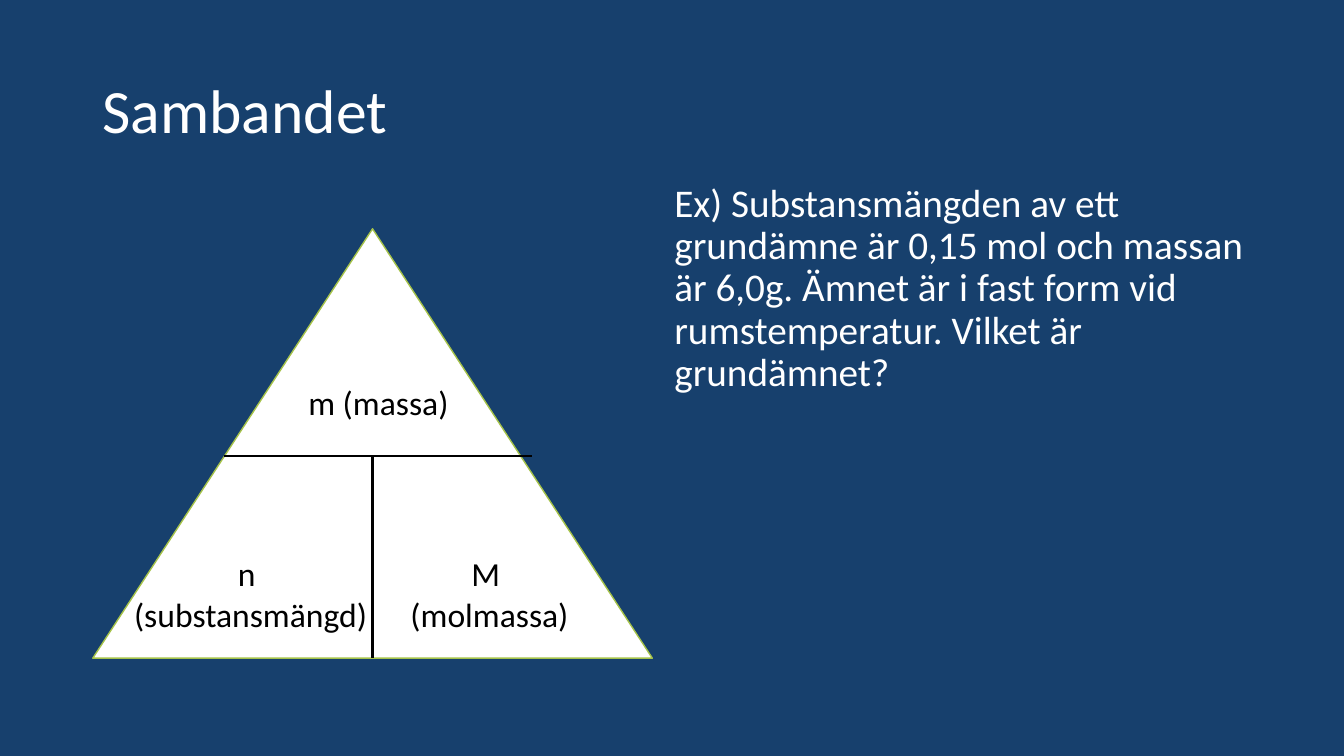
from lxml import etree
from pptx import Presentation
from pptx.dml.color import RGBColor
from pptx.enum.shapes import MSO_CONNECTOR, MSO_SHAPE
from pptx.enum.text import MSO_ANCHOR, PP_ALIGN
from pptx.oxml.ns import qn
from pptx.util import Inches, Pt

STRAIGHT = MSO_CONNECTOR.STRAIGHT
TRIANGLE = MSO_SHAPE.ISOSCELES_TRIANGLE
TOP, MIDDLE = MSO_ANCHOR.TOP, MSO_ANCHOR.MIDDLE
LEFT, CENTER = PP_ALIGN.LEFT, PP_ALIGN.CENTER

FONT = "Calibri"
NAVY, WHITE, BLACK, GREEN = "17406D", "FFFFFF", "000000", "A5C249"


def color(value):
    return RGBColor.from_string(value)


def add_text(slide, box, lines, size, text_color, align=LEFT, anchor=TOP,
             line_spacing=None, space_before=0):
    shape = slide.shapes.add_textbox(*map(Inches, box))
    frame = shape.text_frame
    frame.word_wrap = True
    frame.vertical_anchor = anchor
    frame.text = "\n".join(lines)
    for paragraph in frame.paragraphs:
        paragraph.alignment = align
        paragraph.line_spacing = line_spacing
        paragraph.space_before = Pt(space_before)
        paragraph.font.name = FONT
        paragraph.font.size = Pt(size)
        paragraph.font.color.rgb = color(text_color)


def add_divider(slide, start, end):
    line = slide.shapes.add_connector(STRAIGHT, *map(Inches, start + end))
    line.line.color.rgb = color(BLACK)
    line.line.width = Pt(1.5)
    etree.SubElement(line._element.spPr, qn("a:effectLst"))


def add_title(slide, box):
    add_text(slide, box, ["Sambandet"], 44, WHITE, anchor=MIDDLE, line_spacing=0.9)


def add_example(slide, box):
    question = ("Ex) Substansmängden av ett grundämne är 0,15 mol och massan är 6,0g. "
                "Ämnet är i fast form vid rumstemperatur. Vilket är grundämnet?")
    add_text(slide, box, [question], 28, WHITE, line_spacing=0.9, space_before=10)


def add_formula_triangle(slide, box):
    """Triangle split into mass above, amount and molar mass below."""
    left, top, width, height = box
    triangle = slide.shapes.add_shape(TRIANGLE, *map(Inches, box))
    triangle.shadow.inherit = False
    triangle.fill.solid()
    triangle.fill.fore_color.rgb = color(WHITE)
    triangle.line.color.rgb = color(GREEN)
    triangle.line.width = Pt(1)

    split = top + 2.25
    middle = left + width / 2
    add_divider(slide, (left + 1.3, split), (left + 4.36, split))
    add_divider(slide, (middle, split), (middle, top + height))

    add_text(slide, (left + 2.04, top + 1.47, 1.63, 0.5), ["m (massa)"], 24, BLACK)
    lower_labels = [(0.28, ["n ", "(substansmängd)"]), (2.65, ["M ", "(molmassa)"])]
    for offset, lines in lower_labels:
        add_text(slide, (left + offset, top + 3.17, 2.57, 0.91), lines, 24, BLACK, CENTER)


def main():
    presentation = Presentation()
    presentation.slide_width = Inches(13.33)
    presentation.slide_height = Inches(7.5)
    slide = presentation.slides.add_slide(presentation.slide_layouts[6])
    slide.background.fill.solid()
    slide.background.fill.fore_color.rgb = color(NAVY)
    add_title(slide, (0.92, 0.4, 11.5, 1.45))
    add_example(slide, (6.59, 1.77, 5.87, 4.76))
    add_formula_triangle(slide, (0.92, 2.27, 5.55, 4.26))
    presentation.save("out.pptx")


if __name__ == "__main__":
    main()
